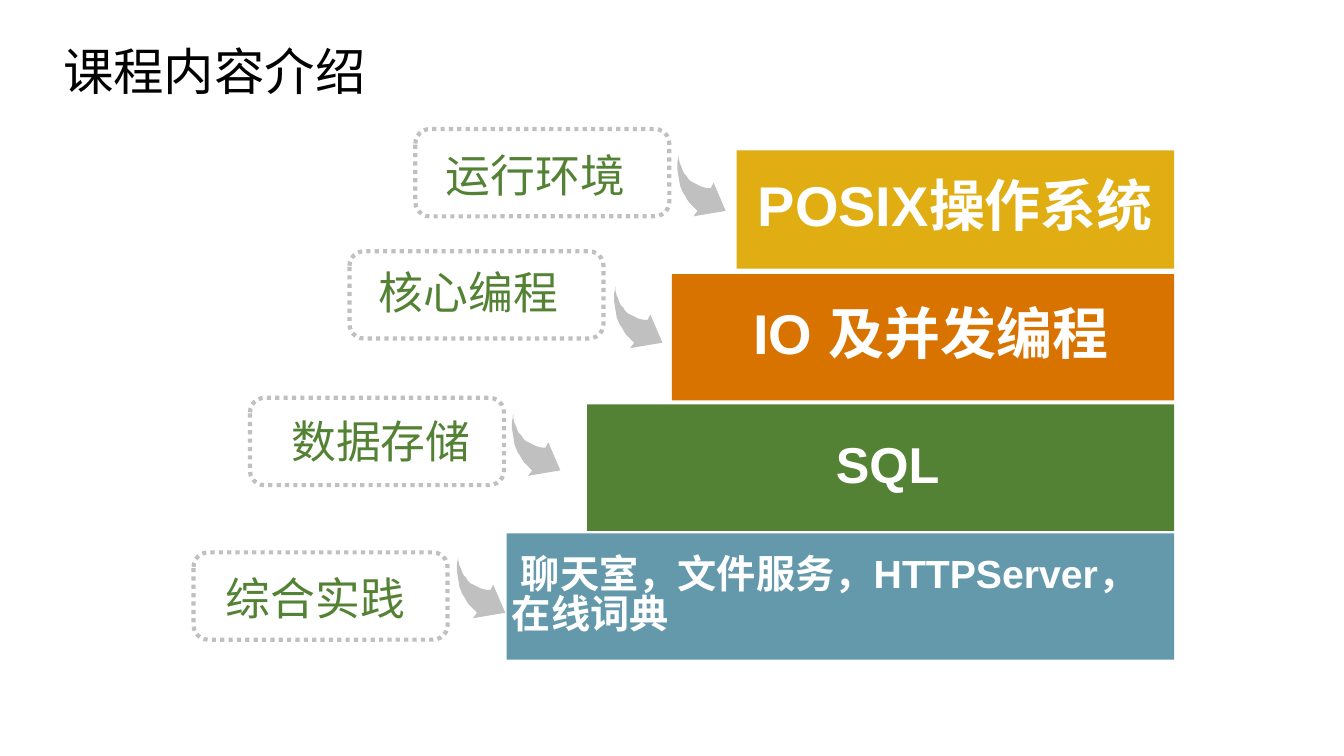
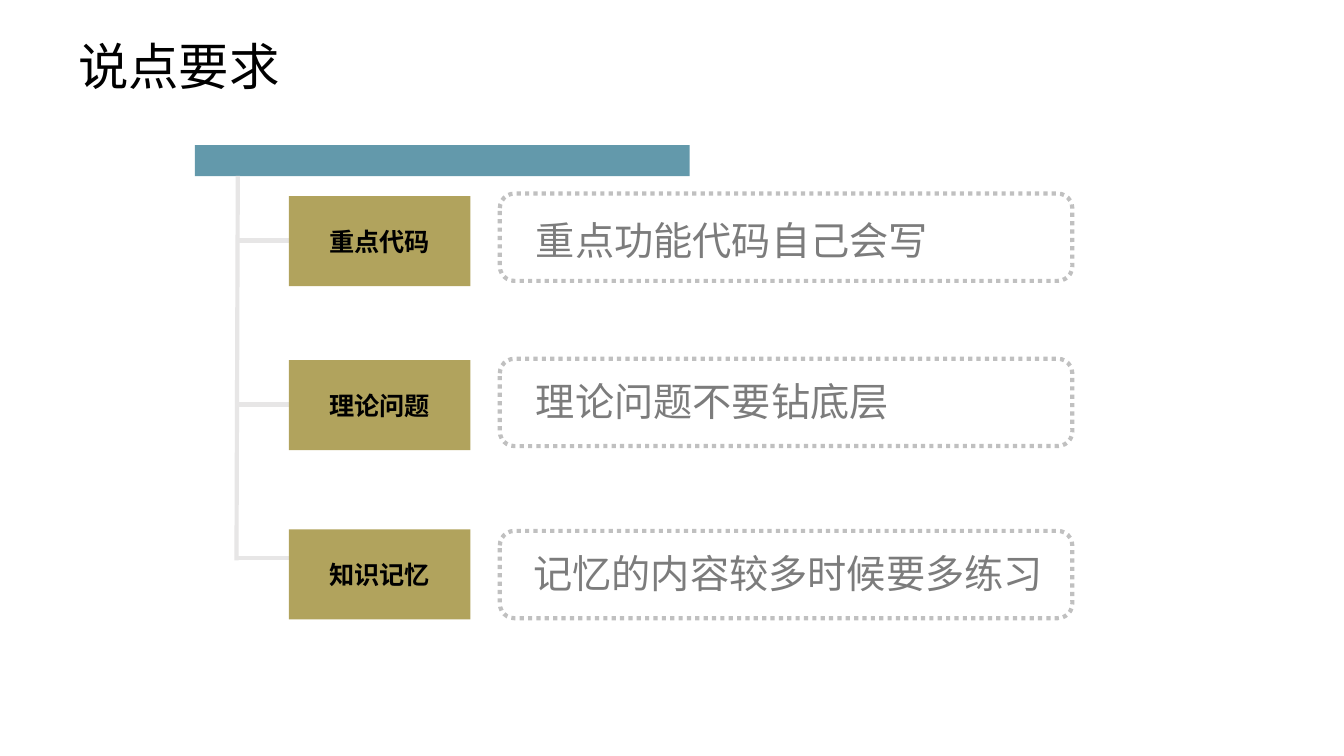
from pptx import Presentation
from pptx.dml.color import RGBColor
from pptx.enum.dml import MSO_LINE
from pptx.enum.shapes import MSO_CONNECTOR, MSO_SHAPE
from pptx.enum.text import MSO_ANCHOR, PP_ALIGN
from pptx.oxml.ns import qn
from pptx.util import Pt

RECT, ROUND = MSO_SHAPE.RECTANGLE, MSO_SHAPE.ROUNDED_RECTANGLE
STRAIGHT, DOTTED = MSO_CONNECTOR.STRAIGHT, MSO_LINE.ROUND_DOT
TOP, MIDDLE = MSO_ANCHOR.TOP, MSO_ANCHOR.MIDDLE
LEFT, CENTER = PP_ALIGN.LEFT, PP_ALIGN.CENTER

BLACK = RGBColor(0x00, 0x00, 0x00)
WHITE = RGBColor(0xFF, 0xFF, 0xFF)
SILVER = RGBColor(0xC0, 0xC0, 0xC0)
PALE = RGBColor(0xE7, 0xE6, 0xE6)
GRAY = RGBColor(0x7C, 0x7C, 0x7C)
GOLD = RGBColor(0xE0, 0xAD, 0x12)
ORANGE = RGBColor(0xD9, 0x73, 0x00)
GREEN = RGBColor(0x54, 0x82, 0x35)
TEAL = RGBColor(0x63, 0x99, 0xAB)
KHAKI = RGBColor(0xB1, 0xA3, 0x5D)

LINE_WIDTH = 2.25
FRAME_H = 46.8

# Slide 1: tag text, tag frame, caption and arrow corners, then the step bar
STAIRS_RIGHT = 629
STAIRS = [
    dict(tag="运行环境", frame=(222.5, 69.1), caption=(231.8, 75.6), arrow=(362.9, 82.8),
         bar=(394.6, 80.6, 63.4), text="POSIX操作系统", size=30, color=GOLD, align=CENTER),
    dict(tag="核心编程", frame=(187.2, 134.6), caption=(195.8, 138.2), arrow=(329, 153.4),
         bar=(360, 146.9, 67.7), text=" IO 及并发编程", size=30, color=ORANGE, align=CENTER),
    dict(tag="数据存储", frame=(133.9, 213.1), caption=(149, 218.2), arrow=(274.3, 221.8),
         bar=(314.6, 216.7, 67.7), text=" SQL", size=27, color=GREEN, align=CENTER),
    dict(tag="综合实践", frame=(103.7, 295.9), caption=(113.8, 302.4), arrow=(244.8, 298.1),
         bar=(271.4, 285.8, 67.7), text=" 聊天室，文件服务，HTTPServer，在线词典",
         size=21, color=TEAL, align=LEFT),
]
# Outline of the curved arrow, in units of ARROW_UNIT points
ARROW_UNIT = 0.72
ARROW = [(15, 42), (12, 46), (36, 42), (27, 21), (25, 25), (22, 25), (18, 24),
         (14, 22), (10, 20), (8, 18), (7, 16), (5, 14), (4, 12), (3, 9),
         (2, 7), (1, 3), (1, 0), (0, 6), (0, 11), (1, 17), (2, 23),
         (4, 28), (6, 31), (7, 33), (9, 36), (11, 38)]

# Slide 2: label, its top, branch height, frame top, caption and its corner
TRUNK_X = 127.4
RULES = [
    ("重点代码", 105.1, 128.9, 103.7, "重点功能代码自己会写", (280, 112.3)),
    ("理论问题", 193, 216.7, 192.2, "理论问题不要钻底层", (280, 198.7)),
    ("知识记忆", 283.7, 298.8, 284.4, "记忆的内容较多时候要多练习", (278.6, 290.9)),
]


def write(shape, text, font, size, color, bold=False, align=LEFT, anchor=TOP, inset=None):
    tf = shape.text_frame
    tf.word_wrap = True
    tf.vertical_anchor = anchor
    if inset is not None:
        tf.margin_left = tf.margin_right = tf.margin_top = tf.margin_bottom = Pt(inset)
    p = tf.paragraphs[0]
    p.alignment = align
    r = p.add_run()
    r.text = text
    r.font.name, r.font.size, r.font.bold = font, Pt(size), bold
    r.font.color.rgb = color
    return p


def new_slide(prs, title, x, y, w):
    s = prs.slides.add_slide(prs.slide_layouts[5])
    sp = s.shapes.title
    sp.left, sp.top, sp.width, sp.height = Pt(x), Pt(y), Pt(w), Pt(40.3)
    write(sp, title, "Calibri", 27, BLACK)
    sp.text_frame.word_wrap = False
    return s


def paint(sp, color):
    sp.shadow.inherit = False
    sp.fill.solid()
    sp.fill.fore_color.rgb = color
    sp.line.fill.background()


def add_block(s, x, y, w, h, color):
    sp = s.shapes.add_shape(RECT, Pt(x), Pt(y), Pt(w), Pt(h))
    paint(sp, color)
    return sp


def add_frame(s, x, y, w):
    sp = s.shapes.add_shape(ROUND, Pt(x), Pt(y), Pt(w), Pt(FRAME_H))
    sp.shadow.inherit = False
    sp.fill.background()
    sp.line.color.rgb = SILVER
    sp.line.width = Pt(LINE_WIDTH)
    sp.line.dash_style = DOTTED


def add_caption(s, text, x, y, w, h, size, color):
    sp = s.shapes.add_textbox(Pt(x), Pt(y), Pt(w), Pt(h))
    write(sp, text, "Courier New", size, color)


def add_arrow(s, x, y):
    fb = s.shapes.build_freeform(*ARROW[0], scale=Pt(ARROW_UNIT))
    fb.add_line_segments(ARROW[1:], close=True)
    paint(fb.convert_to_shape(Pt(x), Pt(y)), SILVER)


def add_line(s, x1, y1, x2, y2):
    c = s.shapes.add_connector(STRAIGHT, Pt(x1), Pt(y1), Pt(x2), Pt(y2))
    c.line.color.rgb = PALE
    c.line.width = Pt(LINE_WIDTH)
    sp_pr = c._element.spPr
    sp_pr.append(sp_pr.makeelement(qn("a:effectLst"), {}))


def build_stairs(prs):
    s = new_slide(prs, "课程内容介绍", 26.6, 18, 177.8)
    for step in STAIRS:
        x, y, h = step["bar"]
        bar = add_block(s, x, y, STAIRS_RIGHT - x, h, step["color"])
        p = write(bar, step["text"], "Arial", step["size"], WHITE, True,
                  step["align"], MIDDLE, 2.9)
        p.line_spacing = 0.85
        add_arrow(s, *step["arrow"])
        add_frame(s, *step["frame"], 136.1)
        add_caption(s, step["tag"], *step["caption"], 134, 36, 24, GREEN)


def build_rules(prs):
    s = new_slide(prs, "说点要求", 34.6, 15.1, 123.9)
    add_block(s, 104.4, 77.8, 265, 16.6, TEAL)
    for rule in RULES:
        add_line(s, TRUNK_X, rule[2], 172.4, rule[2])
    add_line(s, TRUNK_X, 94.3, 126.7, 300.2)
    for label, label_y, _, frame_y, caption, corner in RULES:
        sp = add_block(s, 154.8, label_y, 97.2, 48.2, KHAKI)
        write(sp, label, "Noto Sans CJK SC", 13.5, BLACK, True, CENTER, MIDDLE, 2.9)
        add_frame(s, 267.8, frame_y, 306.7)
        add_caption(s, caption, *corner, 295, 32.4, 21, GRAY)


def main():
    prs = Presentation()
    prs.slide_width, prs.slide_height = Pt(720), Pt(405)
    build_stairs(prs)
    build_rules(prs)
    prs.save("out.pptx")


if __name__ == "__main__":
    main()
